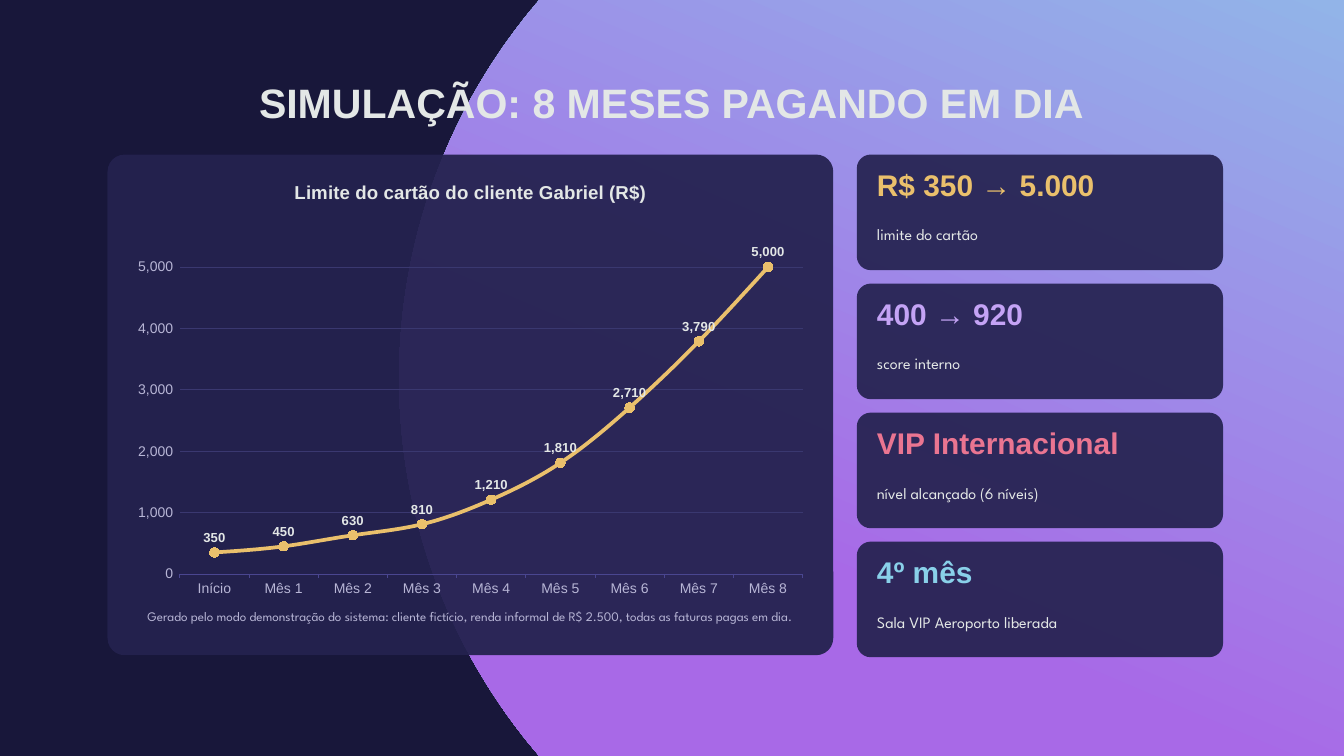
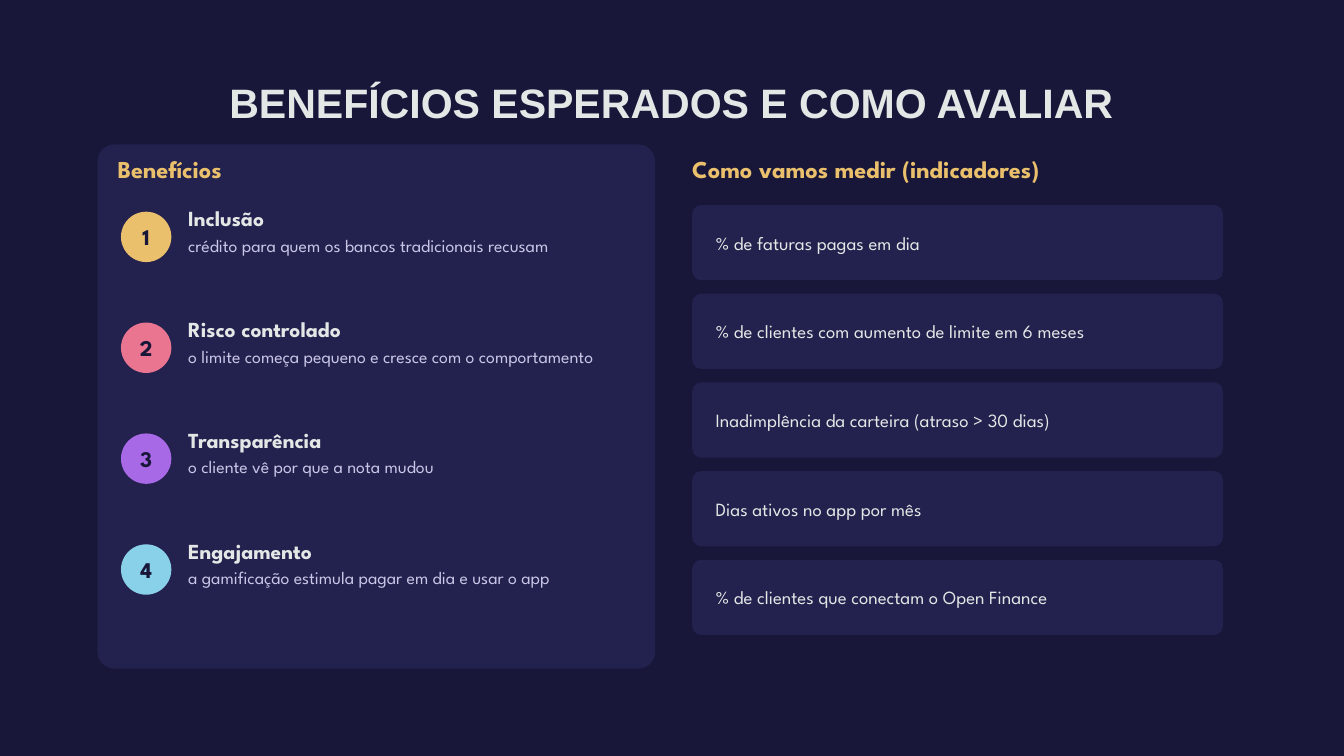
from dataclasses import dataclass

from lxml.etree import SubElement
from pptx import Presentation
from pptx.chart.data import CategoryChartData
from pptx.dml.color import RGBColor
from pptx.enum.chart import XL_CHART_TYPE, XL_LABEL_POSITION, XL_MARKER_STYLE, XL_TICK_MARK
from pptx.enum.shapes import MSO_SHAPE
from pptx.enum.text import MSO_ANCHOR, PP_ALIGN
from pptx.oxml.ns import qn
from pptx.util import Cm, Pt


@dataclass(frozen=True)
class Theme:
    # Colours
    night: str = "18173A"
    panel: str = "24224F"
    light: str = "E3E7E6"
    muted: str = "B8B6D6"
    lilac: str = "C9C7E8"
    gold: str = "EAC06C"
    rose: str = "EA7591"
    purple: str = "A869E7"
    lavender: str = "C4A3F5"
    sky: str = "89D0E9"
    axis: str = "4A4690"
    grid: str = "3A3870"
    # Fonts
    display: str = "Arial"
    body: str = "League Spartan"
    # Type sizes
    title: int = 44
    figure: int = 32
    heading: int = 26
    number: int = 24
    benefit: int = 23
    indicator: int = 20
    detail: int = 19
    caption: int = 17
    axis_text: int = 15
    small: int = 14


THEME = Theme()


def inches(*values):
    """Turn layout units (inches) into lengths."""
    return [Cm(value * 2.54) for value in values]


def rgb(colour):
    return RGBColor.from_string(colour)


@dataclass
class Words:
    """One paragraph of text with its look."""
    text: str
    size: int
    colour: str = THEME.light
    bold: bool = False
    font: str = THEME.body


class SlideBuilder:
    def __init__(self, theme):
        self.theme = theme
        self.deck = Presentation()
        self.deck.slide_width, self.deck.slide_height = inches(20, 11.25)
        self.page = None

    def new_page(self):
        self.page = self.deck.slides.add_slide(self.deck.slide_layouts[6])
        background = self.page.background.fill
        background.solid()
        background.fore_color.rgb = rgb(self.theme.night)

    def title(self, text):
        words = Words(text, self.theme.title, bold=True, font=self.theme.display)
        self.text((1.5, 1.05, 17, 0.95), words, align=PP_ALIGN.CENTER, anchor=MSO_ANCHOR.MIDDLE)

    def set_text(self, frame, paragraphs, align, anchor, space_after):
        frame.word_wrap = True
        frame.vertical_anchor = anchor
        frame.margin_left = frame.margin_right = frame.margin_top = frame.margin_bottom = 0
        for index, words in enumerate(paragraphs):
            para = frame.add_paragraph() if index else frame.paragraphs[0]
            para.alignment = align
            para.space_after = Pt(space_after)
            span = para.add_run()
            span.text = words.text
            self.style(span.font, words.size, words.colour, words.bold, words.font)

    def style(self, font, size, colour, bold=False, name=THEME.display):
        font.name, font.size, font.bold = name, Pt(size), bold
        font.color.rgb = rgb(colour)

    def text(self, area, *paragraphs, align=PP_ALIGN.LEFT, anchor=MSO_ANCHOR.TOP, space_after=6):
        box = self.page.shapes.add_textbox(*inches(*area))
        self.set_text(box.text_frame, paragraphs, align, anchor, space_after)

    def shape(self, kind, area):
        shape = self.page.shapes.add_shape(kind, *inches(*area))
        shape.shadow.inherit = False
        shape.line.fill.background()
        return shape

    def panel(self, area, corner=0.12, opacity=92):
        panel = self.shape(MSO_SHAPE.ROUNDED_RECTANGLE, area)
        panel.adjustments[0] = corner
        panel.fill.solid()
        panel.fill.fore_color.rgb = rgb(self.theme.panel)
        colour = panel.element.find(".//" + qn("a:srgbClr"))
        SubElement(colour, qn("a:alpha"), val=str(opacity * 1000))

    def badge(self, area, number, colour):
        badge = self.shape(MSO_SHAPE.OVAL, area)
        badge.fill.solid()
        badge.fill.fore_color.rgb = rgb(colour)
        words = Words(str(number), self.theme.number, self.theme.night, True)
        self.set_text(badge.text_frame, [words], PP_ALIGN.CENTER, MSO_ANCHOR.MIDDLE, 0)

    def gradient_circle(self, area, start, end):
        circle = self.shape(MSO_SHAPE.OVAL, area)
        circle.fill.gradient()
        circle.fill.gradient_angle = 247
        for stop, colour, position in zip(circle.fill.gradient_stops, (start, end), (0, 0.66)):
            stop.color.rgb = rgb(colour)
            stop.position = position

    def line_chart(self, area, title, categories, values):
        theme = self.theme
        data = CategoryChartData()
        data.categories = categories
        data.add_series("Series 1", values)
        frame = self.page.shapes.add_chart(XL_CHART_TYPE.LINE_MARKERS, *inches(*area), data)
        chart = frame.chart
        chart.has_legend = False
        self.style(chart.font, theme.axis_text, theme.light)

        # Chart title
        chart.has_title = True
        span = chart.chart_title.text_frame.paragraphs[0].add_run()
        span.text = title
        self.style(span.font, theme.indicator, theme.light, True)

        # Axes
        for axis in (chart.category_axis, chart.value_axis):
            axis.major_tick_mark = XL_TICK_MARK.OUTSIDE
            self.style(axis.tick_labels.font, theme.axis_text, theme.muted)
        self.stroke(chart.category_axis.format.line, theme.axis, 0.75)
        scale = chart.value_axis
        scale.minimum_scale, scale.maximum_scale = 0, 5800
        scale.format.line.fill.background()
        self.stroke(scale.major_gridlines.format.line, theme.grid, 0.75)

        # Curve, markers and value labels
        plot = chart.plots[0]
        plot.vary_by_categories = False
        curve = plot.series[0]
        curve.smooth = True
        self.stroke(curve.format.line, theme.gold, 4)
        marker = curve.marker
        marker.style, marker.size = XL_MARKER_STYLE.CIRCLE, 10
        marker.format.fill.solid()
        marker.format.fill.fore_color.rgb = rgb(theme.rose)
        marker.format.line.fill.background()
        labels = curve.data_labels
        labels.show_value = True
        labels.position = XL_LABEL_POSITION.ABOVE
        self.style(labels.font, theme.small, theme.light, True)
        for item in (scale.tick_labels, labels):
            item.number_format = "#,##0"
            item.number_format_is_linked = False

    def stroke(self, line, colour, width):
        line.color.rgb = rgb(colour)
        line.width = Pt(width)


def build_simulation(slide):
    theme = slide.theme
    slide.new_page()
    slide.gradient_circle((5.94, -3, 17.25, 17.25), theme.sky, theme.purple)
    slide.title("SIMULAÇÃO: 8 MESES PAGANDO EM DIA")

    # Credit limit chart
    slide.panel((1.6, 2.3, 10.8, 7.45), corner=0.034, opacity=94)
    months = ["Início"] + [f"Mês {month}" for month in range(1, 9)]
    limits = [350, 450, 630, 810, 1210, 1810, 2710, 3790, 5000]
    slide.line_chart((1.85, 2.45, 10.3, 6.55), "Limite do cartão do cliente Gabriel (R$)",
                     months, limits)
    note = ("Gerado pelo modo demonstração do sistema: cliente fictício, "
            "renda informal de R$ 2.500, todas as faturas pagas em dia.")
    slide.text((1.9, 9.05, 10.2, 0.6), Words(note, theme.small, theme.muted),
               align=PP_ALIGN.CENTER)

    # Result cards
    results = [
        ("R$ 350 → 5.000", "limite do cartão", theme.gold),
        ("400 → 920", "score interno", theme.lavender),
        ("VIP Internacional", "nível alcançado (6 níveis)", theme.rose),
        ("4º mês", "Sala VIP Aeroporto liberada", theme.sky),
    ]
    for index, (figure, caption, colour) in enumerate(results):
        top = 2.3 + 1.92 * index
        slide.panel((12.75, top, 5.45, 1.72))
        slide.text((13.05, top + 0.18, 5, 0.8),
                   Words(figure, theme.figure, colour, True, theme.display))
        slide.text((13.05, top + 1.05, 5, 0.5), Words(caption, theme.caption))


def build_benefits(slide):
    theme = slide.theme
    slide.new_page()
    slide.title("BENEFÍCIOS ESPERADOS E COMO AVALIAR")

    # Numbered benefits
    slide.panel((1.45, 2.15, 8.3, 7.8), corner=0.032)
    slide.text((1.75, 2.3, 8, 0.55), Words("Benefícios", theme.heading, theme.gold, True))
    benefits = [
        ("Inclusão", "crédito para quem os bancos tradicionais recusam", theme.gold),
        ("Risco controlado", "o limite começa pequeno e cresce com o comportamento", theme.rose),
        ("Transparência", "o cliente vê por que a nota mudou", theme.purple),
        ("Engajamento", "a gamificação estimula pagar em dia e usar o app", theme.sky),
    ]
    for index, (name, detail, colour) in enumerate(benefits):
        top = 3.05 + 1.65 * index
        slide.badge((1.8, top + 0.1, 0.75, 0.75), index + 1, colour)
        slide.text((2.8, top, 6.7, 1.5), Words(name, theme.benefit, bold=True),
                   Words(detail, theme.detail, theme.lilac), space_after=4)

    # Indicators
    slide.text((10.3, 2.3, 7.9, 0.55),
               Words("Como vamos medir (indicadores)", theme.heading, theme.gold, True))
    indicators = [
        "% de faturas pagas em dia",
        "% de clientes com aumento de limite em 6 meses",
        "Inadimplência da carteira (atraso > 30 dias)",
        "Dias ativos no app por mês",
        "% de clientes que conectam o Open Finance",
    ]
    for index, indicator in enumerate(indicators):
        top = 3.05 + 1.32 * index
        slide.panel((10.3, top, 7.9, 1.12))
        slide.text((10.65, top, 7.3, 1.12), Words(indicator, theme.indicator),
                   anchor=MSO_ANCHOR.MIDDLE)


def main():
    slide = SlideBuilder(THEME)
    build_simulation(slide)
    build_benefits(slide)
    slide.deck.save("out.pptx")


if __name__ == "__main__":
    main()
